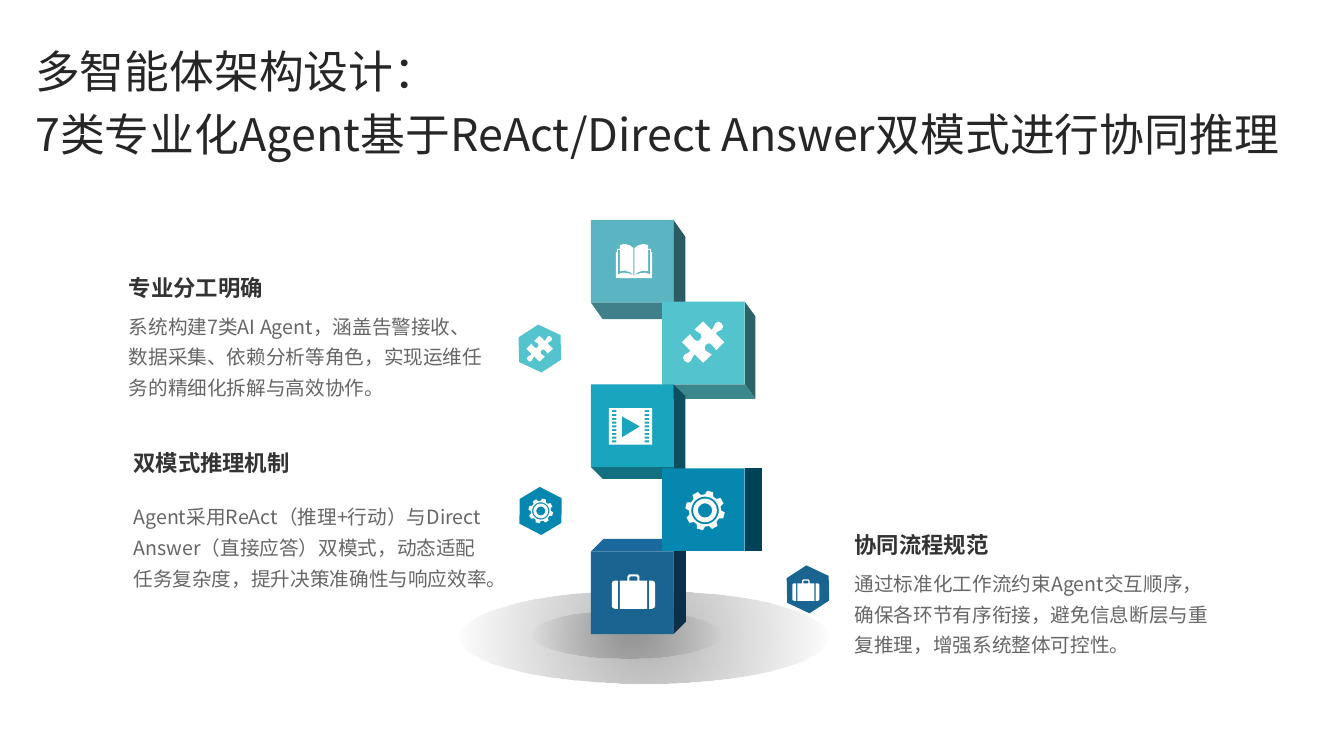
from math import cos, radians, sin

from lxml import etree
from pptx import Presentation
from pptx.dml.color import RGBColor
from pptx.enum import shapes, text
from pptx.oxml import parse_xml
from pptx.oxml.ns import nsdecls, qn
from pptx.util import Pt

FONT = "Noto Sans CJK SC"
WHITE = RGBColor(0xFF, 0xFF, 0xFF)
TITLE = RGBColor(0x26, 0x26, 0x26)
HEADING = RGBColor(0x33, 0x33, 0x33)
BODY = RGBColor(0x66, 0x66, 0x66)
MIST = RGBColor(0x5A, 0xB4, 0xC1)
MIST_SIDE = RGBColor(0x2A, 0x5A, 0x62)
MIST_BASE = RGBColor(0x40, 0x80, 0x8A)
AQUA = RGBColor(0x53, 0xC3, 0xCD)
AQUA_SIDE = RGBColor(0x2A, 0x64, 0x68)
AQUA_BASE = RGBColor(0x3A, 0x88, 0x8E)
TEAL = RGBColor(0x19, 0xA5, 0xBE)
TEAL_SIDE = RGBColor(0x0C, 0x50, 0x60)
TEAL_BASE = RGBColor(0x12, 0x70, 0x80)
BLUE = RGBColor(0x05, 0x87, 0xAF)
BLUE_SIDE = RGBColor(0x00, 0x42, 0x58)
NAVY = RGBColor(0x19, 0x64, 0x91)
NAVY_SIDE = RGBColor(0x0C, 0x30, 0x4A)
NAVY_TOP = RGBColor(0x1B, 0x68, 0x9C)

deck = Presentation()
deck.slide_width, deck.slide_height = Pt(960), Pt(540)
page = deck.slides.add_slide(deck.slide_layouts[6])


def write(content, left, top, width, height, size, color, bold=False,
          margin=(0, 0), spacing=Pt(22), gap=0):
    """Add a middle-anchored text box; each line of content is a paragraph."""
    box = page.shapes.add_textbox(Pt(left), Pt(top), Pt(width), Pt(height))
    frame = box.text_frame
    frame.word_wrap = True
    frame.vertical_anchor = text.MSO_ANCHOR.MIDDLE
    frame.margin_left = frame.margin_right = Pt(margin[0])
    frame.margin_top = frame.margin_bottom = Pt(margin[1])
    for number, line in enumerate(content.split("\n")):
        para = frame.add_paragraph() if number else frame.paragraphs[0]
        para.line_spacing = spacing
        if number:
            para.space_before = Pt(gap)
        span = para.add_run()
        span.text = line
        span.font.name = FONT
        span.font.size = Pt(size)
        span.font.bold = bold
        span.font.color.rgb = color
        east_asian = etree.SubElement(span._r.get_or_add_rPr(), qn("a:ea"))
        east_asian.set("typeface", FONT)


def outline(contours, color, x=0, y=0, scale=1):
    """Fill closed contours, given in points around (x, y); inner ones are holes."""
    builder = None
    for contour in contours:
        points = [(Pt(x + px * scale), Pt(y + py * scale)) for px, py in contour]
        if builder is None:
            builder = page.shapes.build_freeform(*points[0], scale=1.0)
        else:
            builder.move_to(*points[0])
        builder.add_line_segments(points[1:], close=True)
    shape = builder.convert_to_shape()
    shape.shadow.inherit = False
    shape.fill.solid()
    shape.fill.fore_color.rgb = color
    shape.line.fill.background()


write("多智能体架构设计：\n7类专业化Agent基于ReAct/Direct Answer双模式进行协同推理",
      18, 12.24, 924, 126, 32, TITLE, margin=(7.2, 3.6), spacing=0.9, gap=10)

# Soft ground shadows
for left, top, width, height in ((328, 422, 264, 66), (379.5, 436.3, 136, 34)):
    shadow = page.shapes.add_shape(shapes.MSO_SHAPE.OVAL, Pt(left), Pt(top), Pt(width), Pt(height))
    shadow.shadow.inherit = False
    shadow.line.fill.background()
    shadow.fill.background()
    no_fill = shadow._element.spPr.find(qn("a:noFill"))
    no_fill.getparent().replace(no_fill, parse_xml(
        f'<a:gradFill {nsdecls("a")} rotWithShape="1"><a:gsLst>'
        '<a:gs pos="0"><a:srgbClr val="808080"><a:alpha val="60000"/></a:srgbClr></a:gs>'
        '<a:gs pos="100000"><a:srgbClr val="808080"><a:alpha val="0"/></a:srgbClr></a:gs>'
        '</a:gsLst><a:path path="circle">'
        '<a:fillToRect l="50000" t="50000" r="50000" b="50000"/></a:path></a:gradFill>'))

# Cubes: left, top, depth across, depth down, face, side, base or top
SIDE = 59
cubes = (
    (422, 157, 8.5, 12, MIST, MIST_SIDE, MIST_BASE),
    (473, 215.5, 7.5, 10.5, AQUA, AQUA_SIDE, AQUA_BASE),
    (422, 274.5, 8.5, 8.5, TEAL, TEAL_SIDE, TEAL_BASE),
    (422, 394, 9, -9, NAVY, NAVY_SIDE, NAVY_TOP),
    (473, 334.5, 12, 0, BLUE, BLUE_SIDE, None),
)
for left, top, across, down, face, side, edge in cubes:
    right, bottom = left + SIDE, top + SIDE
    outline([[(right, top), (right + across, top + down),
              (right + across, bottom + down), (right, bottom)]], side)
    if edge:
        level = bottom if down > 0 else top
        outline([[(left, level), (right, level), (right + across, level + down),
                  (left + across, level + down)]], edge)
    front = page.shapes.add_shape(shapes.MSO_SHAPE.RECTANGLE, Pt(left), Pt(top), Pt(SIDE), Pt(SIDE))
    front.shadow.inherit = False
    front.fill.solid()
    front.fill.fore_color.rgb = face
    front.line.fill.background()

for left, top, turn, color in ((368, 234, 327, AQUA), (368.5, 350, 329, BLUE), (559.5, 406, 327, NAVY)):
    badge = page.shapes.add_shape(shapes.MSO_SHAPE.HEXAGON, Pt(left), Pt(top), Pt(35.3), Pt(30))
    badge.adjustments[0] = 0.31
    badge.rotation = turn
    badge.shadow.inherit = False
    badge.fill.solid()
    badge.fill.fore_color.rgb = color
    badge.line.fill.background()

# Icon contours, in hundredths of an inch around the icon's centre
puzzle_half = [(21, 0), (13, 8), (10, 4), (8, 2), (5.5, 1), (3, 2.5), (1.5, 5), (2.5, 8.5),
               (6, 10.5), (8.5, 12.5), (0, 20.5), (-8.5, 12), (-10.5, 15), (-12, 18.5),
               (-15, 20.5), (-18.5, 18.5), (-20, 15.5), (-18.5, 12.5), (-14.5, 10.5), (-12.5, 8.5)]
puzzle = [puzzle_half + [(-x, -y) for x, y in puzzle_half]]

gear = [[(r * cos(radians(15 + 45 * tooth + a)), r * sin(radians(15 + 45 * tooth + a)))
         for tooth in range(8) for a, r in ((-15, 16), (-9, 19.7), (9, 19.7), (15, 16))]]
gear += [[(r * cos(radians(a)), r * sin(radians(a))) for a in range(0, 360, 10)]
         for r in (13.7, 11.7, 7)]

case_end = [(-15.5, -11), (-18.5, -11), (-20.7, -10), (-21.5, -8),
            (-21.5, 14), (-20.7, 16), (-18.5, 17), (-15.5, 17)]
suitcase = [
    [(-13.5, -11), (-6, -11), (-6, -15), (-4.5, -17), (4.5, -17), (6, -15),
     (6, -11), (13.5, -11), (13.5, 17), (-13.5, 17)],
    [(-4, -11), (-4, -14), (-3, -15), (3, -15), (4, -14), (4, -11)],
    case_end, [(-x, y) for x, y in case_end],
]

film = [[(-21.5, -18), (21.5, -18), (21.5, 18), (-21.5, 18)], [(-8.5, -10), (-8.5, 11), (9.5, 0)]]
for row in range(9):
    hole = -16 + 3.75 * row
    film += [[(x, hole), (x + 4.5, hole), (x + 4.5, hole + 2), (x, hole + 2)] for x in (-18.5, 14)]

book_left = [
    [(-0.5, -13), (-4, -15.5), (-9, -17), (-14, -16), (-14, -12), (-17, -12), (-17, -9),
     (-18, -9), (-18, 17), (0, 17), (0, 14.5), (-0.5, 14)],
    [(-14, -11), (-16, -11), (-16, 13), (-11, 11.5), (-6, 12), (-0.5, 14),
     (-4, 11), (-9, 9.5), (-14, 10)],
]
book = book_left + [[(-x, y) for x, y in contour] for contour in book_left]

for icon, x, y, scale in (
        (book, 452.9, 186.5, 0.72), (puzzle, 502.2, 244.4, 0.72), (film, 450.4, 304.6, 0.72),
        (gear, 503.6, 364.6, 0.72), (suitcase, 452.5, 422.6, 0.72),
        (puzzle, 385.4, 249.1, 0.45), (gear, 386.3, 365, 0.45), (suitcase, 575.6, 421.6, 0.45)):
    outline(icon, WHITE, x, y, scale)

# Points: left, top, body height, heading, body
points = (
    (92, 193, 66, "专业分工明确",
     "系统构建7类AI Agent，涵盖告警接收、数据采集、依赖分析等角色，实现运维任务的精细化拆解与高效协作。"),
    (95.3, 318, 88, "双模式推理机制",
     "Agent采用ReAct（推理+行动）与Direct Answer（直接应答）双模式，动态适配任务复杂度，提升决策准确性与响应效率。"),
    (610.4, 376.7, 66, "协同流程规范",
     "通过标准化工作流约束Agent交互顺序，确保各环节有序衔接，避免信息断层与重复推理，增强系统整体可控性。"),
)
for left, top, height, heading, body in points:
    write(heading, left, top, 253.5, 22, 16, HEADING, bold=True)
    write(body, left, top + 26.5, 253.5, height, 14, BODY)

deck.save("out.pptx")
